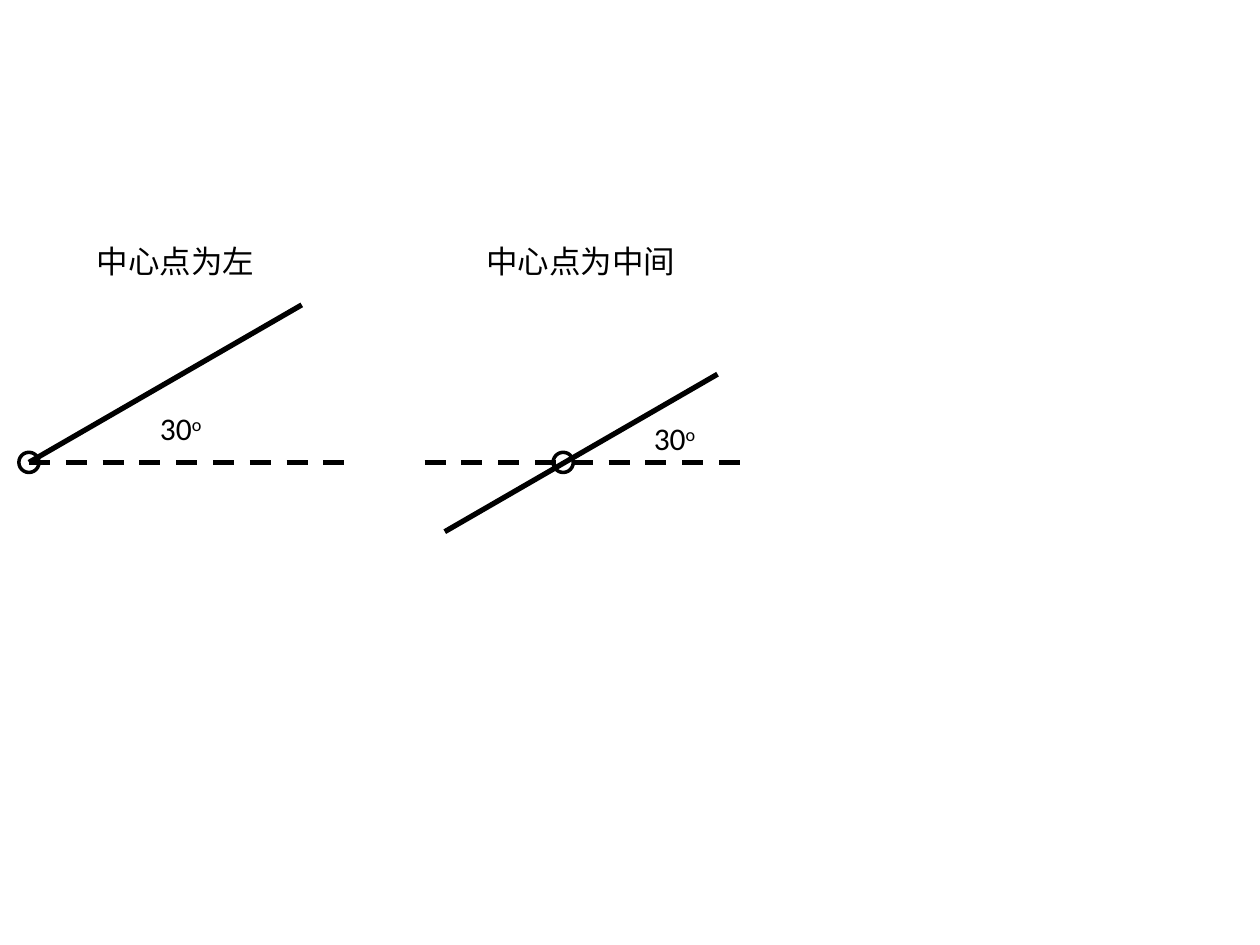
from math import cos, radians, sin

from lxml import etree
from pptx import Presentation
from pptx.dml.color import RGBColor
from pptx.enum.dml import MSO_LINE
from pptx.enum.shapes import MSO_CONNECTOR, MSO_SHAPE
from pptx.enum.text import MSO_AUTO_SIZE
from pptx.oxml.ns import qn
from pptx.util import Inches, Pt

STRAIGHT = MSO_CONNECTOR.STRAIGHT
OVAL = MSO_SHAPE.OVAL
DASH = MSO_LINE.DASH
GROW = MSO_AUTO_SIZE.SHAPE_TO_FIT_TEXT

BLACK, WHITE = "000000", "FFFFFF"
ANGLE, LENGTH, PIVOT_SIZE = 30, 2.5, 0.16
BASE_Y, CAPTION_Y, TEXT_H = 3.67, 1.87, 0.4


def color(value):
    return RGBColor.from_string(value)


def add_line(shapes, x1, y1, x2, y2, dash=None):
    line = shapes.add_connector(STRAIGHT, *map(Inches, (x1, y1, x2, y2)))
    line.line.color.rgb = color(BLACK)
    line.line.width = Pt(3)
    if dash:
        line.line.dash_style = dash
    etree.SubElement(line._element.spPr, qn("a:effectLst"))


def add_text(shapes, x, y, w, text, superscript=""):
    tf = shapes.add_textbox(*map(Inches, (x, y, w, TEXT_H))).text_frame
    tf.word_wrap = False
    tf.auto_size = GROW
    p = tf.paragraphs[0]
    for part in filter(None, (text, superscript)):
        r = p.add_run()
        r.text = part
        for name, value in {"name": "Calibri", "size": Pt(18)}.items():
            setattr(r.font, name, value)
        r.font.color.rgb = color(BLACK)
        if part == superscript:
            r.font._element.set("baseline", "30000")


def add_pivot(shapes, x, y):
    half = PIVOT_SIZE / 2
    s = shapes.add_shape(OVAL, *map(Inches, (x - half, y - half, PIVOT_SIZE, PIVOT_SIZE)))
    s.shadow.inherit = False
    s.fill.solid()
    s.fill.fore_color.rgb = color(WHITE)
    s.line.color.rgb = color(BLACK)
    s.line.width = Pt(2)


def add_rotation(slide, left, pivot_x, rod_start, label_at, caption):
    """Draw a dashed base line from left, and a rod turned by ANGLE."""
    # Pivot circle, behind the lines
    add_pivot(slide.shapes, pivot_x, BASE_Y)

    # Base line, rotated rod and angle label
    group = slide.shapes.add_group_shape().shapes
    add_line(group, left, BASE_Y, left + LENGTH, BASE_Y, DASH)
    x, y = rod_start
    turn = radians(ANGLE)
    add_line(group, x, y, x + LENGTH * cos(turn), y - LENGTH * sin(turn))
    add_text(group, *label_at, 0.55, str(ANGLE), "o")

    # Caption
    caption_x, caption_w, text = caption
    add_text(slide.shapes, caption_x, CAPTION_Y, caption_w, text)


def main():
    prs = Presentation()
    prs.slide_width, prs.slide_height = Inches(10), Inches(7.5)
    slide = prs.slides.add_slide(prs.slide_layouts[6])

    # Rotation about the left end
    add_rotation(slide, 0.23, 0.23, (0.23, BASE_Y), (1.17, 3.2),
                 (0.67, 1.46, "中心点为左"))
    # Rotation about the middle
    add_rotation(slide, 3.37, 4.47, (3.53, 4.22), (5.09, 3.28),
                 (3.76, 1.72, "中心点为中间"))

    prs.save("out.pptx")


if __name__ == "__main__":
    main()
